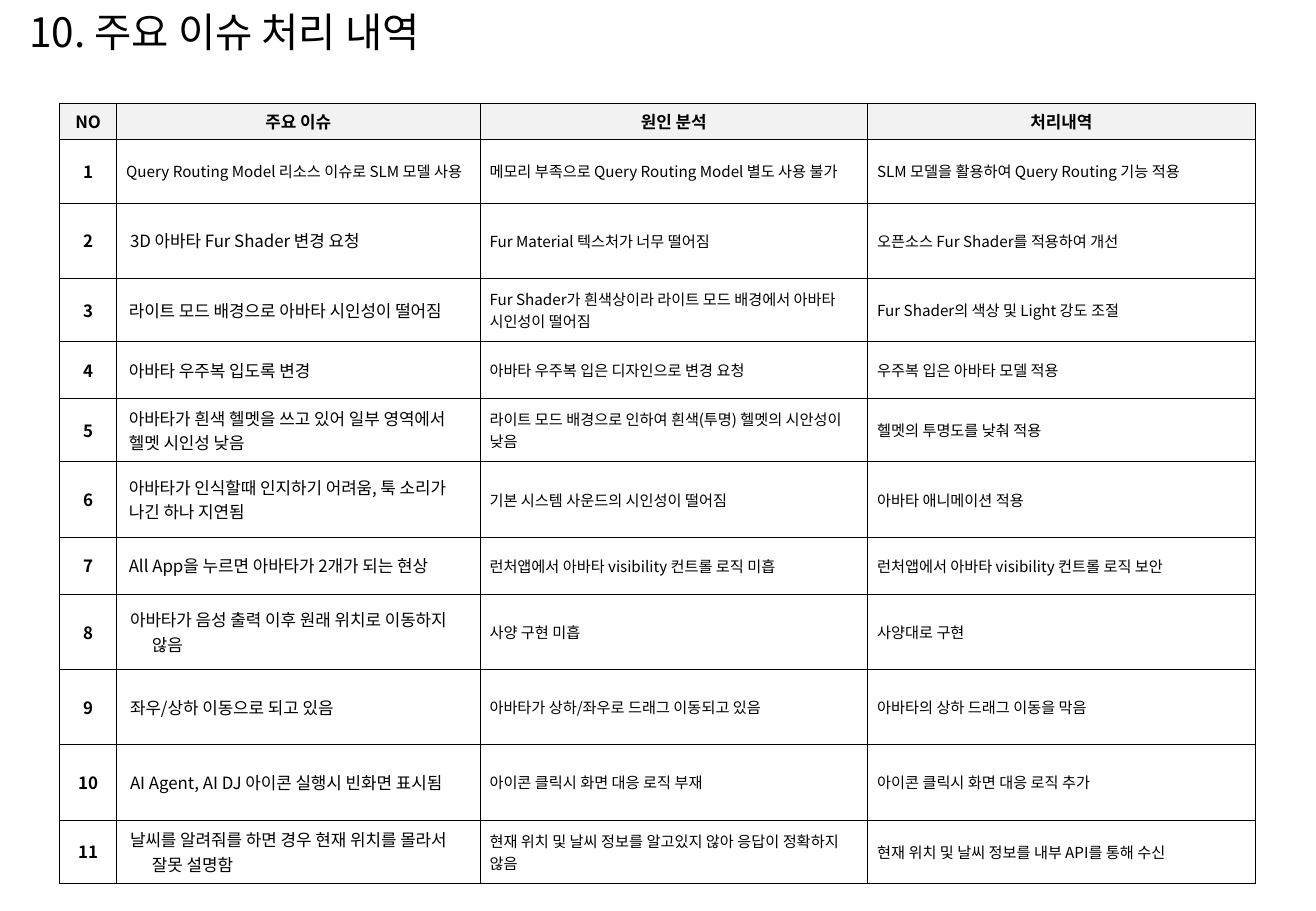
from dataclasses import dataclass

from lxml import etree
from pptx import Presentation
from pptx.dml.color import RGBColor
from pptx.enum.text import MSO_ANCHOR, MSO_AUTO_SIZE, PP_ALIGN
from pptx.oxml.ns import qn
from pptx.util import Pt

MIDDLE = MSO_ANCHOR.MIDDLE
LEFT = PP_ALIGN.LEFT
CENTER = PP_ALIGN.CENTER
NO_FIT = MSO_AUTO_SIZE.NONE
TITLE_ONLY = 5


@dataclass(frozen=True)
class Theme:
    font: str = "Noto Sans CJK KR"
    issue_font: str = "Courier New"
    ink: str = "000000"
    header_fill: str = "F2F2F2"
    title_size: float = 24
    label_size: float = 10
    body_size: float = 9
    border: float = 0.5


THEME = Theme()

TITLE = "10. 주요 이슈 처리 내역"
HEADERS = ["NO", "주요 이슈", "원인 분석", "처리내역"]
ISSUES = [
    ("Query Routing Model 리소스 이슈로 SLM 모델 사용",
     "메모리 부족으로 Query Routing Model 별도 사용 불가",
     "SLM 모델을 활용하여 Query Routing 기능 적용"),
    ("3D 아바타 Fur Shader 변경 요청",
     "Fur Material 텍스처가 너무 떨어짐",
     "오픈소스 Fur Shader를 적용하여 개선"),
    ("라이트 모드 배경으로 아바타 시인성이 떨어짐",
     "Fur Shader가 흰색상이라 라이트 모드 배경에서 아바타 시인성이 떨어짐",
     "Fur Shader의 색상 및 Light 강도 조절"),
    ("아바타 우주복 입도록 변경",
     "아바타 우주복 입은 디자인으로 변경 요청",
     "우주복 입은 아바타 모델 적용"),
    ("아바타가 흰색 헬멧을 쓰고 있어 일부 영역에서 헬멧 시인성 낮음",
     "라이트 모드 배경으로 인하여 흰색(투명) 헬멧의 시안성이 낮음",
     "헬멧의 투명도를 낮춰 적용"),
    ("아바타가 인식할때 인지하기 어려움, 툭 소리가 나긴 하나 지연됨",
     "기본 시스템 사운드의 시인성이 떨어짐",
     "아바타 애니메이션 적용"),
    ("All App을 누르면 아바타가 2개가 되는 현상",
     "런처앱에서 아바타 visibility 컨트롤 로직 미흡",
     "런처앱에서 아바타 visibility 컨트롤 로직 보안"),
    ("아바타가 음성 출력 이후 원래 위치로 이동하지 않음",
     "사양 구현 미흡",
     "사양대로 구현"),
    ("좌우/상하 이동으로 되고 있음",
     "아바타가 상하/좌우로 드래그 이동되고 있음",
     "아바타의 상하 드래그 이동을 막음"),
    ("AI Agent, AI DJ 아이콘 실행시 빈화면 표시됨",
     "아이콘 클릭시 화면 대응 로직 부재",
     "아이콘 클릭시 화면 대응 로직 추가"),
    ("날씨를 알려줘를 하면 경우 현재 위치를 몰라서 잘못 설명함",
     "현재 위치 및 날씨 정보를 알고있지 않아 응답이 정확하지 않음",
     "현재 위치 및 날씨 정보를 내부 API를 통해 수신"),
]
HANGING_ISSUES = {2, 8, 9, 10, 11}
ISSUE_FONT_ROWS = {3, 4, 5}
TALL_ROWS = {2, 6, 8, 9, 10}

COLUMN_WIDTHS = [33.84, 215.28, 229.68, 229.68]
HEADER_HEIGHT, ROW_HEIGHT, TALL_HEIGHT = 18.72, 33.84, 44.64
HEADER_INSETS = (0.72, 3.6)
BODY_INSETS = (5.67, 5.67)
ISSUE_INSETS = (7.2, 3.6)


def add_span(para, text, size, bold=False, font=THEME.font):
    span = para.add_run()
    span.text = text
    span.font.size = Pt(size)
    span.font.bold = bold
    span.font.color.rgb = RGBColor.from_string(THEME.ink)
    span.font.name = font
    east_asian = etree.SubElement(span.font._element, qn("a:ea"))
    east_asian.set("typeface", THEME.font)


def set_indent(para, margin, first_line):
    properties = para._p.get_or_add_pPr()
    properties.set("marL", str(Pt(margin)))
    properties.set("indent", str(Pt(first_line)))


def set_borders(cell):
    properties = cell._tc.get_or_add_tcPr()
    for side in ("lnL", "lnR", "lnT", "lnB"):
        line = etree.SubElement(properties, qn(f"a:{side}"), w=str(Pt(THEME.border)))
        fill = etree.SubElement(line, qn("a:solidFill"))
        etree.SubElement(fill, qn("a:srgbClr"), val=THEME.ink)


def format_cell(cell, insets, fill=None):
    set_borders(cell)
    cell.margin_left = cell.margin_right = Pt(insets[0])
    cell.margin_top = cell.margin_bottom = Pt(insets[1])
    cell.vertical_anchor = MIDDLE
    if fill:
        cell.fill.solid()
        cell.fill.fore_color.rgb = RGBColor.from_string(fill)
    else:
        cell.fill.background()
    return cell.text_frame.paragraphs[0]


def fill_label(cell, text, insets, fill=None):
    para = format_cell(cell, insets, fill)
    para.alignment = CENTER
    add_span(para, text, THEME.label_size, bold=True)


def fill_body(cell, text):
    para = format_cell(cell, BODY_INSETS)
    para.alignment = LEFT
    add_span(para, text, THEME.body_size)


def fill_issue(cell, text, number):
    para = format_cell(cell, ISSUE_INSETS)
    para.alignment = LEFT
    para.level = 1
    if number in HANGING_ISSUES:
        set_indent(para, 13.68, -12.96)
    else:
        set_indent(para, 0, 0)
    font = THEME.issue_font if number in ISSUE_FONT_ROWS else THEME.font
    add_span(para, text, THEME.label_size, font=font)


def add_title(page):
    box = page.shapes.title
    box.left, box.top, box.width, box.height = Pt(10.08), Pt(1.44), Pt(684), Pt(33.84)
    frame = box.text_frame
    frame.word_wrap = True
    frame.auto_size = NO_FIT
    frame.vertical_anchor = MIDDLE
    para = frame.paragraphs[0]
    para.alignment = LEFT
    set_indent(para, 40.32, -40.32)
    add_span(para, TITLE, THEME.title_size)


def add_issue_table(page):
    heights = [HEADER_HEIGHT] + [
        TALL_HEIGHT if number in TALL_ROWS else ROW_HEIGHT
        for number in range(1, len(ISSUES) + 1)
    ]
    table = page.shapes.add_table(
        len(heights), len(COLUMN_WIDTHS), Pt(35.28), Pt(61.2),
        Pt(sum(COLUMN_WIDTHS)), Pt(sum(heights))).table
    table.first_row = False
    table.horz_banding = False
    for column, width in zip(table.columns, COLUMN_WIDTHS):
        column.width = Pt(width)
    for row, height in zip(table.rows, heights):
        row.height = Pt(height)
    for column, header in enumerate(HEADERS):
        fill_label(table.cell(0, column), header, HEADER_INSETS, THEME.header_fill)
    for number, (issue, cause, action) in enumerate(ISSUES, 1):
        fill_label(table.cell(number, 0), str(number), BODY_INSETS)
        if number == 1:
            fill_body(table.cell(number, 1), issue)
        else:
            fill_issue(table.cell(number, 1), issue, number)
        fill_body(table.cell(number, 2), cause)
        fill_body(table.cell(number, 3), action)


def main():
    deck = Presentation()
    deck.slide_width, deck.slide_height = Pt(779.76), Pt(540)
    page = deck.slides.add_slide(deck.slide_layouts[TITLE_ONLY])
    add_title(page)
    add_issue_table(page)
    deck.save("out.pptx")


if __name__ == "__main__":
    main()
